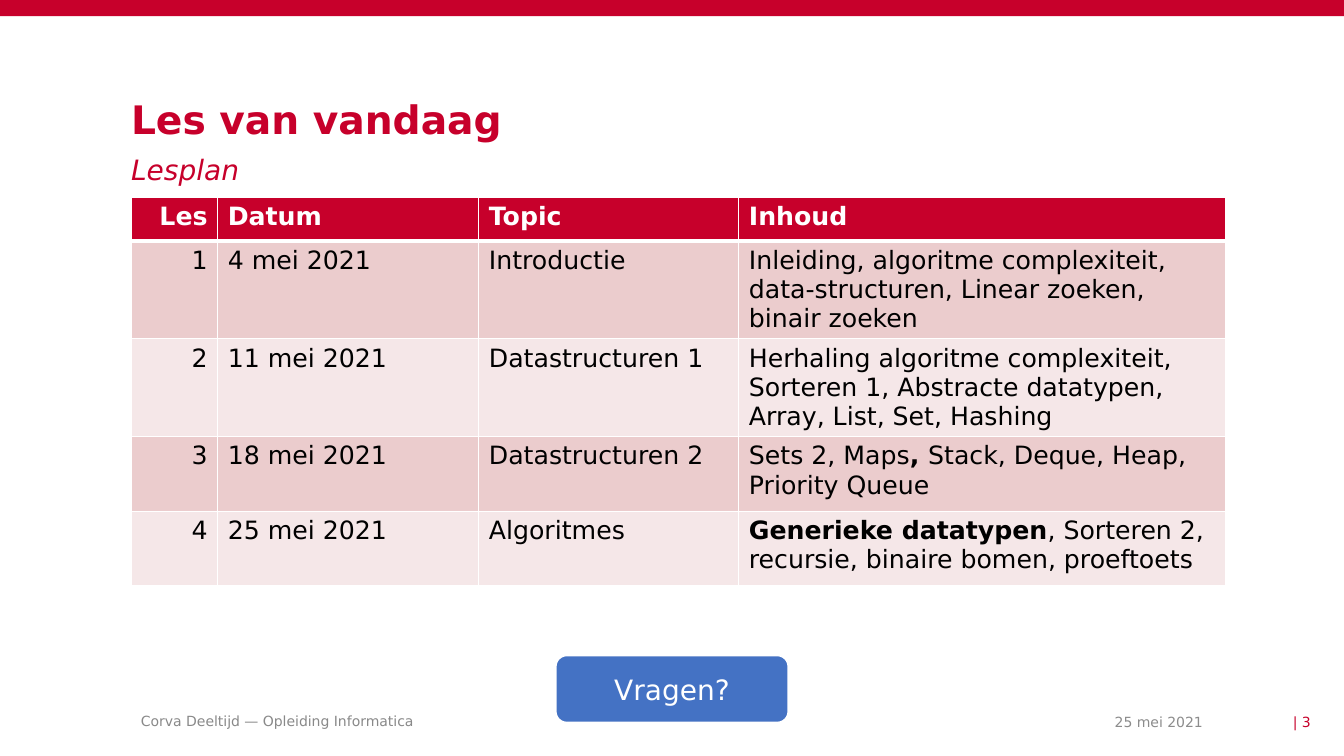
from dataclasses import dataclass
from itertools import product

from lxml.etree import SubElement as Sub
from pptx import Presentation
from pptx.dml.color import RGBColor as Rgb
from pptx.enum.shapes import MSO_SHAPE as Kind
from pptx.enum.text import MSO_ANCHOR as Anchor, MSO_AUTO_SIZE as Fit, PP_ALIGN as Align
from pptx.oxml.ns import qn
from pptx.util import Inches, Pt

HUES = {"red": "C7002B", "white": "FFFFFF", "black": "000000", "grey": "8C8C8C",
        "dim": "898989", "odd": "EBCCCD", "even": "F5E7E8", "blue": "4472C4"}
FACE = "DejaVu Sans"
WIDE, HIGH = Inches(13.33), Inches(7.5)
LEFT = 9.75


@dataclass
class Box:
    left: float
    top: float
    width: float
    height: float

    def size(self) -> tuple[int, int, int, int]:
        return across(self.left), down(self.top), across(self.width), down(self.height)


@dataclass
class Style:
    size: int
    hue: str
    bold: bool = False
    slant: bool = False
    align: Align = Align.LEFT


@dataclass
class Label:
    text: str
    box: Box
    style: Style
    inset: float = 0


def across(share: float) -> int:
    return int(WIDE * share / 100)


def down(share: float) -> int:
    return int(HIGH * share / 100)


def tint(hue: str) -> Rgb:
    return Rgb.from_string(HUES[hue])


def paint(item, hue: str) -> None:
    item.fill.solid()
    item.fill.fore_color.rgb = tint(hue)


def write(frame, text: str, style: Style) -> None:
    para = frame.paragraphs[0]
    para.alignment = style.align
    font = para.font
    font.name, font.size = FACE, Pt(style.size)
    font.bold, font.italic = style.bold, style.slant
    font.color.rgb = tint(style.hue)
    for spot, part in enumerate(text.split("*")):
        if part:
            run = para.add_run()
            run.text = part
            if spot % 2:
                run.font.bold = True


def place(shape, label: Label, anchor: Anchor) -> None:
    shape.left, shape.top, shape.width, shape.height = label.box.size()
    frame = shape.text_frame
    frame.word_wrap, frame.auto_size = True, Fit.NONE
    frame.vertical_anchor = anchor
    frame.margin_left = frame.margin_right = Inches(label.inset)
    frame.margin_top = frame.margin_bottom = 0
    write(frame, label.text, label.style)


def block(kind: Kind, box: Box, hue: str):
    shape = slide.shapes.add_shape(kind, *box.size())
    shape.shadow.inherit = False
    paint(shape, hue)
    shape.line.fill.background()
    return shape


def edge(cell, side: str, width: float) -> None:
    line = Sub(cell._tc.get_or_add_tcPr(), qn(f"a:{side}"), w=str(Pt(width)))
    Sub(Sub(line, qn("a:solidFill")), qn("a:srgbClr"), val=HUES["white"])


deck = Presentation()
deck.slide_width, deck.slide_height = WIDE, HIGH
slide = deck.slides.add_slide(deck.slide_layouts[1])
block(Kind.RECTANGLE, Box(0, 0, 100, 2.13), "red")

title, body = slide.shapes.title, slide.placeholders[1]
place(title, Label("Les van vandaag", Box(LEFT, 13.33, 63.5, 5.2),
                   Style(28, "red", bold=True)), Anchor.TOP)
title.text_frame.paragraphs[0].line_spacing = 0.9
place(body, Label("Lesplan", Box(LEFT, 20.13, 63.5, 5.2),
                  Style(20, "red", slant=True)), Anchor.TOP)
lead = body.text_frame.paragraphs[0]
lead.space_before, lead.space_after = Pt(0), Pt(6)
props = lead._p.get_or_add_pPr()
props.set("marL", "0")
props.set("indent", "0")
props.insert_element_before(props.makeelement(qn("a:buNone")),
                            "a:tabLst", "a:defRPr", "a:extLst")

NOTES = [
    Label("25 mei 2021", Box(67, 93.87, 22.5, 3.2), Style(10, "grey", align=Align.RIGHT)),
    Label("| 3", Box(90.85, 93.87, 6.68, 3.2), Style(10, "red", align=Align.RIGHT)),
    Label("Corva Deeltijd — Opleiding Informatica", Box(LEFT, 93.73, 50.2, 3.2),
          Style(10, "dim"), 0.1),
]
for note in NOTES:
    place(slide.shapes.add_textbox(*note.box.size()), note, Anchor.MIDDLE)

PLAN = [
    ("Les", "Datum", "Topic", "Inhoud"),
    ("1", "4 mei 2021", "Introductie",
     "Inleiding, algoritme complexiteit, data-structuren, Linear zoeken, binair zoeken"),
    ("2", "11 mei 2021", "Datastructuren 1",
     "Herhaling algoritme complexiteit, Sorteren 1, Abstracte datatypen, "
     "Array, List, Set, Hashing"),
    ("3", "18 mei 2021", "Datastructuren 2",
     "Sets 2, Maps*, *Stack, Deque, Heap, Priority Queue"),
    ("4", "25 mei 2021", "Algoritmes",
     "*Generieke datatypen*, Sorteren 2, recursie, binaire bomen, proeftoets"),
]
COLS = [6.45, 19.43, 19.35, 36.23]
ROWS = [5.73] + [9.87] * 4
grid = slide.shapes.add_table(len(ROWS), len(COLS),
                              *Box(LEFT, 26.13, sum(COLS), sum(ROWS)).size()).table
for col, share in zip(grid.columns, COLS):
    col.width = across(share)
for row, share in zip(grid.rows, ROWS):
    row.height = down(share)
for y, x in product(range(len(ROWS)), range(len(COLS))):
    cell, head = grid.cell(y, x), y == 0
    for side in ("lnL", "lnR", "lnT", "lnB"):
        thick = (head and side == "lnB") or (y == 1 and side == "lnT")
        edge(cell, side, 3 if thick else 1)
    paint(cell, "red" if head else "odd" if y % 2 else "even")
    write(cell.text_frame, PLAN[y][x],
          Style(18, "white" if head else "black", bold=head,
                align=Align.LEFT if x else Align.RIGHT))

ask = Label("Vragen?", Box(41.34, 86.67, 17.33, 8.93),
            Style(20, "white", align=Align.CENTER), 0.1)
button = block(Kind.ROUNDED_RECTANGLE, ask.box, "blue")
button.line.color.rgb, button.line.width = tint("white"), Pt(1.5)
place(button, ask, Anchor.MIDDLE)

deck.save("out.pptx")
